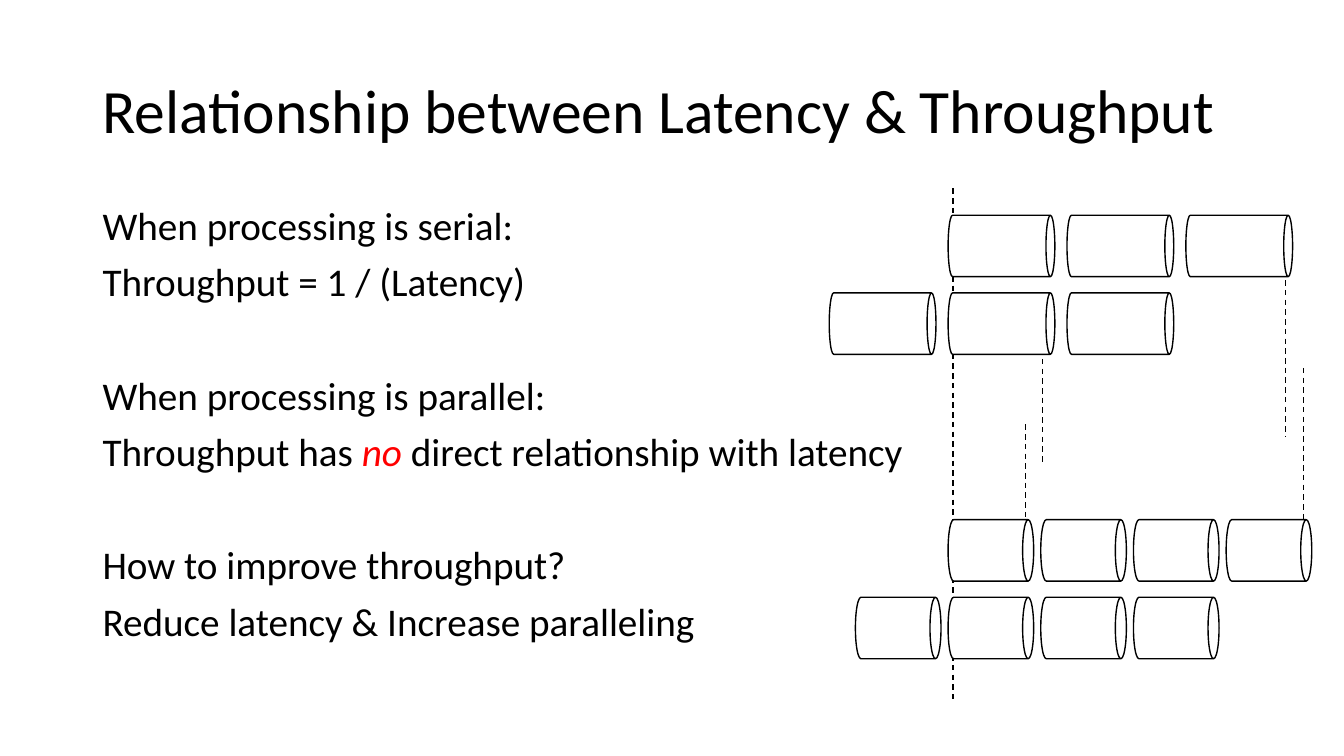
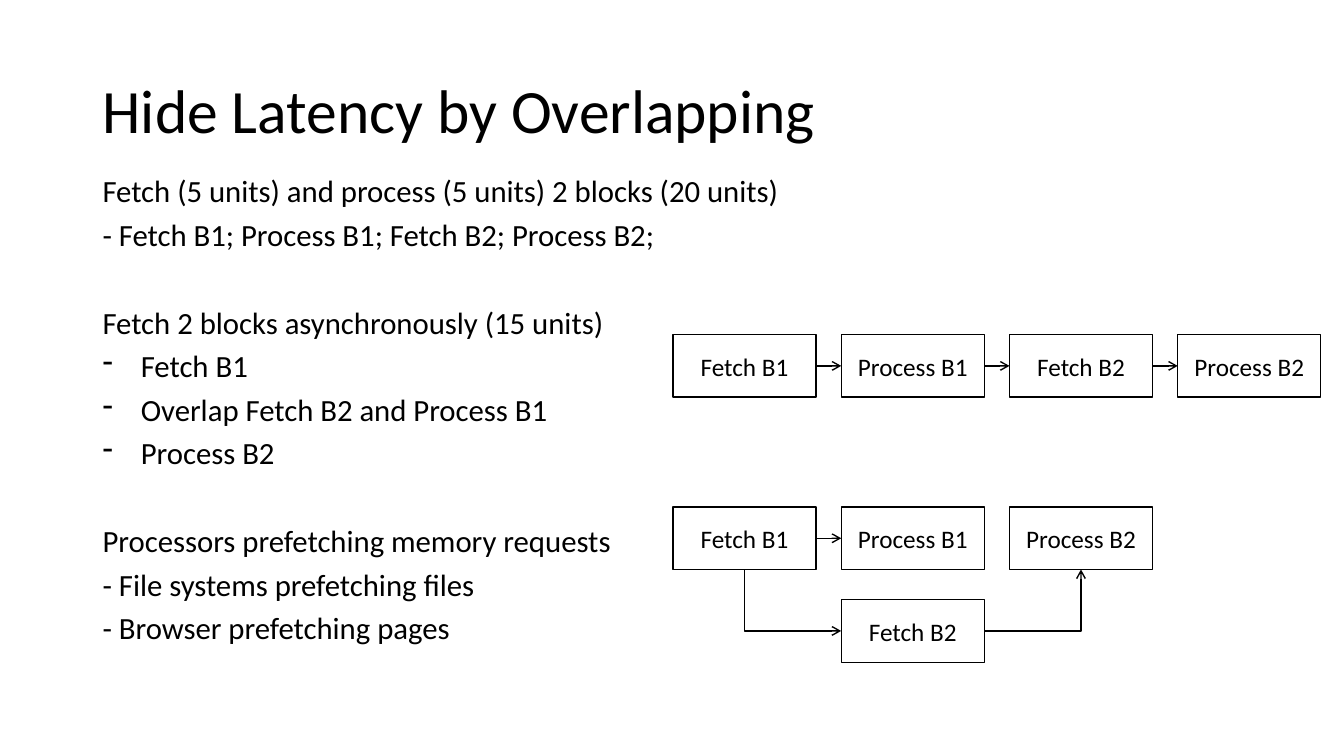
"""Build two slides on latency, throughput and overlapping work."""
from lxml.etree import SubElement
from pptx import Presentation
from pptx.dml.color import RGBColor
from pptx.enum.dml import MSO_LINE
from pptx.enum.shapes import MSO_CONNECTOR, MSO_SHAPE
from pptx.enum.text import MSO_ANCHOR, PP_ALIGN
from pptx.oxml.ns import qn
from pptx.util import Inches, Pt

BLACK = RGBColor(0x00, 0x00, 0x00)
WHITE = RGBColor(0xFF, 0xFF, 0xFF)
RED = RGBColor(0xFF, 0x00, 0x00)
FONT = "Calibri"
MARGIN, TEXT_WIDTH = 0.92, 11.5
TITLE_TOP, TITLE_HEIGHT = 0.4, 1.45
PARAGRAPH_GAP = 10
LINE_FACTOR = 1.22
HANGING = Inches(0.38)

presentation = Presentation()
presentation.slide_width = Inches(13.34)
presentation.slide_height = Inches(7.5)


def add_outlined(slide, kind, left, top, width, height):
    shape = slide.shapes.add_shape(
        kind, Inches(left), Inches(top), Inches(width), Inches(height))
    shape.shadow.inherit = False
    shape.fill.solid()
    shape.fill.fore_color.rgb = WHITE
    shape.line.color.rgb = BLACK
    shape.line.width = Pt(1)
    return shape


def add_line(slide, kind, start=(0, 0), end=(0, 0)):
    line = slide.shapes.add_connector(kind, *[Inches(n) for n in (*start, *end)])
    line.line.color.rgb = BLACK
    line.line.width = Pt(1)
    SubElement(line.element.spPr, qn("a:effectLst"))
    return line


# Asterisks enclose emphasised words; a leading tab marks a bulleted step.
contents = [
    ("Relationship between Latency & Throughput", 2.0, 5.15, 28, 0.9, [
        ["When processing is serial:", "Throughput = 1 / (Latency)"],
        ["When processing is parallel:",
         "Throughput has *no *direct relationship with latency"],
        ["How to improve throughput?", "Reduce latency & Increase paralleling"],
    ]),
    ("Hide Latency by Overlapping", 1.73, 5.03, 22, 0.8, [
        ["Fetch (5 units) and process (5 units) 2 blocks (20 units)",
         "- Fetch B1; Process B1; Fetch B2; Process B2;"],
        ["Fetch 2 blocks asynchronously (15 units)", "\tFetch B1",
         "\tOverlap Fetch B2 and Process B1", "\tProcess B2"],
        ["Processors prefetching memory requests",
         "- File systems prefetching files", "- Browser prefetching pages"],
    ]),
]

slides = []
for heading, body_top, body_height, body_size, spacing, groups in contents:
    slide = presentation.slides.add_slide(presentation.slide_layouts[6])
    slides.append(slide)
    group_gap = 2 * PARAGRAPH_GAP + body_size * LINE_FACTOR * spacing
    for top, height, size, factor, anchor, sections in (
            (TITLE_TOP, TITLE_HEIGHT, 44, 0.9, MSO_ANCHOR.MIDDLE, [[heading]]),
            (body_top, body_height, body_size, spacing, MSO_ANCHOR.TOP, groups)):
        frame = slide.shapes.add_textbox(
            Inches(MARGIN), Inches(top), Inches(TEXT_WIDTH), Inches(height)).text_frame
        frame.word_wrap = True
        frame.vertical_anchor = anchor
        lines = [(section, row, text) for section, texts in enumerate(sections)
                 for row, text in enumerate(texts)]
        for section, row, text in lines:
            first = section == row == 0
            paragraph = frame.paragraphs[0] if first else frame.add_paragraph()
            paragraph.line_spacing = factor
            if not first:
                paragraph.space_before = Pt(PARAGRAPH_GAP if row else round(group_gap, 1))
            if text.startswith("\t"):
                properties = paragraph._p.get_or_add_pPr()
                properties.set("marL", str(HANGING))
                properties.set("indent", str(-HANGING))
                SubElement(properties, qn("a:buChar"), char="-")
            for order, piece in enumerate(text.strip().split("*")):
                emphasised = order % 2 == 1
                run = paragraph.add_run()
                run.text = piece
                run.font.name = FONT
                run.font.size = Pt(size)
                run.font.italic = emphasised
                run.font.color.rgb = RED if emphasised else BLACK

throughput_slide, overlap_slide = slides

CAN_HEIGHT, CAN_ROW, CAN_LEFT = 0.61, 0.77, 9.41
guides = [(9.46, 1.87, 6.93), (12.76, 2.78, 4.33), (12.94, 3.65, 5.2),
          (10.35, 3.56, 4.61), (10.18, 4.21, 5.16)]
pipelines = [(2.44, 1.06, 1.18, 3, 0.145), (5.46, 0.85, 0.92, 4, 0.18)]

for x, top, bottom in guides:
    guide = add_line(throughput_slide, MSO_CONNECTOR.STRAIGHT, (x, top), (x, bottom))
    guide.line.dash_style = MSO_LINE.DASH

for middle, length, pitch, count, curve in pipelines:
    for row in range(2):
        for column in range(-row, count - row):
            center_x = CAN_LEFT + length / 2 + column * pitch
            center_y = middle + row * CAN_ROW
            can = add_outlined(
                throughput_slide, MSO_SHAPE.CAN, center_x - CAN_HEIGHT / 2,
                center_y - length / 2, CAN_HEIGHT, length)
            can.rotation = 90
            can.adjustments[0] = curve

TASK_LEFT, TASK_PITCH, TASK_WIDTH, TASK_HEIGHT = 6.68, 1.67, 1.42, 0.62
task_rows = [
    (3.32, ["Fetch B1", "Process B1", "Fetch B2", "Process B2"]),
    (5.03, ["Fetch B1", "Process B1", "Process B2"]),
    (5.95, ["", "Fetch B2"]),
]
tasks = {}
for row, (top, labels) in enumerate(task_rows):
    for column, label in enumerate(labels):
        if not label:
            continue
        task = add_outlined(
            overlap_slide, MSO_SHAPE.RECTANGLE, TASK_LEFT + column * TASK_PITCH,
            top, TASK_WIDTH, TASK_HEIGHT)
        task.text_frame.text = label
        task.text_frame.vertical_anchor = MSO_ANCHOR.MIDDLE
        paragraph = task.text_frame.paragraphs[0]
        paragraph.alignment = PP_ALIGN.CENTER
        paragraph.font.name = FONT
        paragraph.font.size = Pt(18)
        paragraph.font.color.rgb = BLACK
        tasks[row, column] = task

TOP, LEFT, BOTTOM, RIGHT = range(4)
straight_steps = [((0, 0), (0, 1)), ((0, 1), (0, 2)), ((0, 2), (0, 3)), ((1, 0), (1, 1))]
links = [(MSO_CONNECTOR.STRAIGHT, source, RIGHT, target, LEFT, "a:tailEnd")
         for source, target in straight_steps]
links += [(MSO_CONNECTOR.ELBOW, (2, 1), LEFT, (1, 0), BOTTOM, "a:headEnd"),
          (MSO_CONNECTOR.ELBOW, (2, 1), RIGHT, (1, 2), BOTTOM, "a:tailEnd")]
for kind, source, source_side, target, target_side, arrow_end in links:
    link = add_line(overlap_slide, kind)
    link.begin_connect(tasks[source], source_side)
    link.end_connect(tasks[target], target_side)
    outline = link.element.spPr.find(qn("a:ln"))
    SubElement(outline, qn(arrow_end), type="arrow")
    if kind == MSO_CONNECTOR.ELBOW:
        link.element.spPr.find(qn("a:prstGeom")).set("prst", "bentConnector2")

presentation.save("out.pptx")
